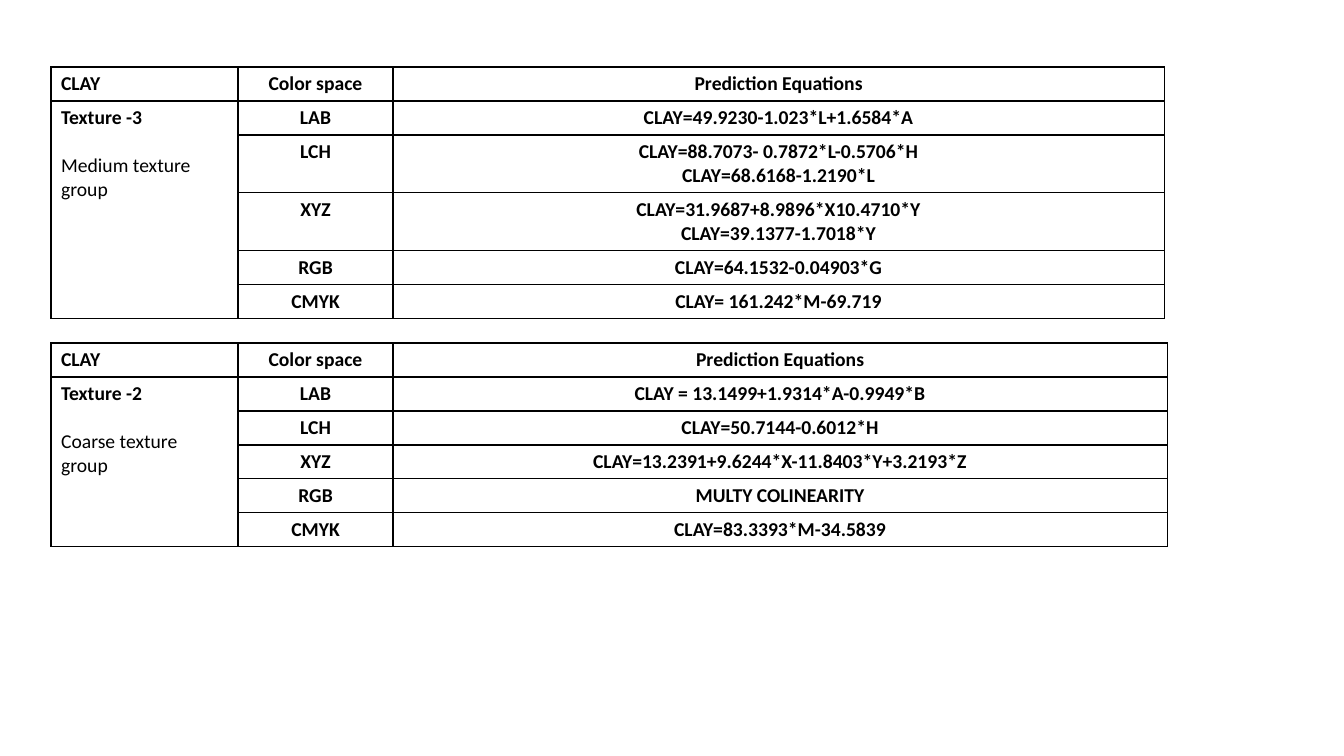
import pptx
import pptx.dml.color
import pptx.enum.text
import pptx.oxml
import pptx.oxml.ns
import pptx.util

# Content: one entry per table
HEADINGS = ["CLAY", "Color space", "Prediction Equations"]
TABLES = [
    {
        "top": 343, "equation_width": 774,
        "texture": "Texture -2", "group": "Coarse texture group",
        "equations": [
            ("LAB", ["CLAY = 13.1499+1.9314*A-0.9949*B"]),
            ("LCH", ["CLAY=50.7144-0.6012*H"]),
            ("XYZ", ["CLAY=13.2391+9.6244*X-11.8403*Y+3.2193*Z"]),
            ("RGB", ["MULTY COLINEARITY"]),
            ("CMYK", ["CLAY=83.3393*M-34.5839"]),
        ],
    },
    {
        "top": 67, "equation_width": 771,
        "texture": "Texture -3", "group": "Medium texture group",
        "equations": [
            ("LAB", ["CLAY=49.9230-1.023*L+1.6584*A"]),
            ("LCH", ["CLAY=88.7073- 0.7872*L-0.5706*H", "CLAY=68.6168-1.2190*L"]),
            ("XYZ", ["CLAY=31.9687+8.9896*X10.4710*Y", "CLAY=39.1377-1.7018*Y"]),
            ("RGB", ["CLAY=64.1532-0.04903*G"]),
            ("CMYK", ["CLAY= 161.242*M-69.719"]),
        ],
    },
]

BLACK = pptx.dml.color.RGBColor(0, 0, 0)
WHITE = pptx.dml.color.RGBColor(255, 255, 255)
LEFT, GROUP_WIDTH, SPACE_WIDTH = 51, 187, 155
ROW_HEIGHT, EXTRA_LINE = 33, 24
CENTER = pptx.enum.text.PP_ALIGN.CENTER
START = pptx.enum.text.PP_ALIGN.LEFT


def px(length):
    return pptx.util.Emu(round(length * 914400 / 100.8))


def add_text(para, text, bold=True, align=CENTER, gap=0):
    para.alignment = align
    if gap:
        para.space_before = pptx.util.Pt(gap)
    span = para.add_run()
    span.text = text
    span.font.name = "Calibri"
    span.font.size = pptx.util.Pt(14)
    span.font.bold = bold
    span.font.color.rgb = BLACK


def format_cell(cell):
    properties = cell._tc.get_or_add_tcPr()
    for side in ("lnL", "lnR", "lnT", "lnB"):
        properties.append(pptx.oxml.parse_xml(
            f'<a:{side} {pptx.oxml.ns.nsdecls("a")} w="12700"><a:solidFill>'
            f'<a:srgbClr val="{BLACK}"/></a:solidFill></a:{side}>'))
    cell.fill.solid()
    cell.fill.fore_color.rgb = WHITE


def add_equation_table(page, content):
    equations = content["equations"]
    widths = [GROUP_WIDTH, SPACE_WIDTH, content["equation_width"]]
    heights = [ROW_HEIGHT] + [ROW_HEIGHT + EXTRA_LINE * (len(lines) - 1)
                              for _, lines in equations]
    table = page.shapes.add_table(
        len(heights), len(widths), px(LEFT), px(content["top"]),
        px(sum(widths)), px(sum(heights))).table
    table.first_row = False
    table.horz_banding = False
    for column, width in zip(table.columns, widths):
        column.width = px(width)
    for row, height in zip(table.rows, heights):
        row.height = px(height)
    for cell in table.iter_cells():
        format_cell(cell)

    # Heading row
    for index, heading in enumerate(HEADINGS):
        add_text(table.cell(0, index).text_frame.paragraphs[0], heading,
                 align=CENTER if index else START)

    # Texture group, spanning all equation rows
    group = table.cell(1, 0)
    group.merge(table.cell(len(equations), 0))
    add_text(group.text_frame.paragraphs[0], content["texture"], align=START)
    add_text(group.text_frame.add_paragraph(), content["group"],
             bold=False, align=START, gap=17)

    # Color spaces and their equations
    for index, (space, lines) in enumerate(equations, start=1):
        add_text(table.cell(index, 1).text_frame.paragraphs[0], space)
        frame = table.cell(index, 2).text_frame
        for number, line in enumerate(lines):
            para = frame.add_paragraph() if number else frame.paragraphs[0]
            add_text(para, line)


def main():
    deck = pptx.Presentation()
    deck.slide_width = pptx.util.Inches(13.33)
    deck.slide_height = pptx.util.Inches(7.5)
    page = deck.slides.add_slide(deck.slide_layouts[6])
    for content in TABLES:
        add_equation_table(page, content)
    deck.save("out.pptx")


if __name__ == "__main__":
    main()
